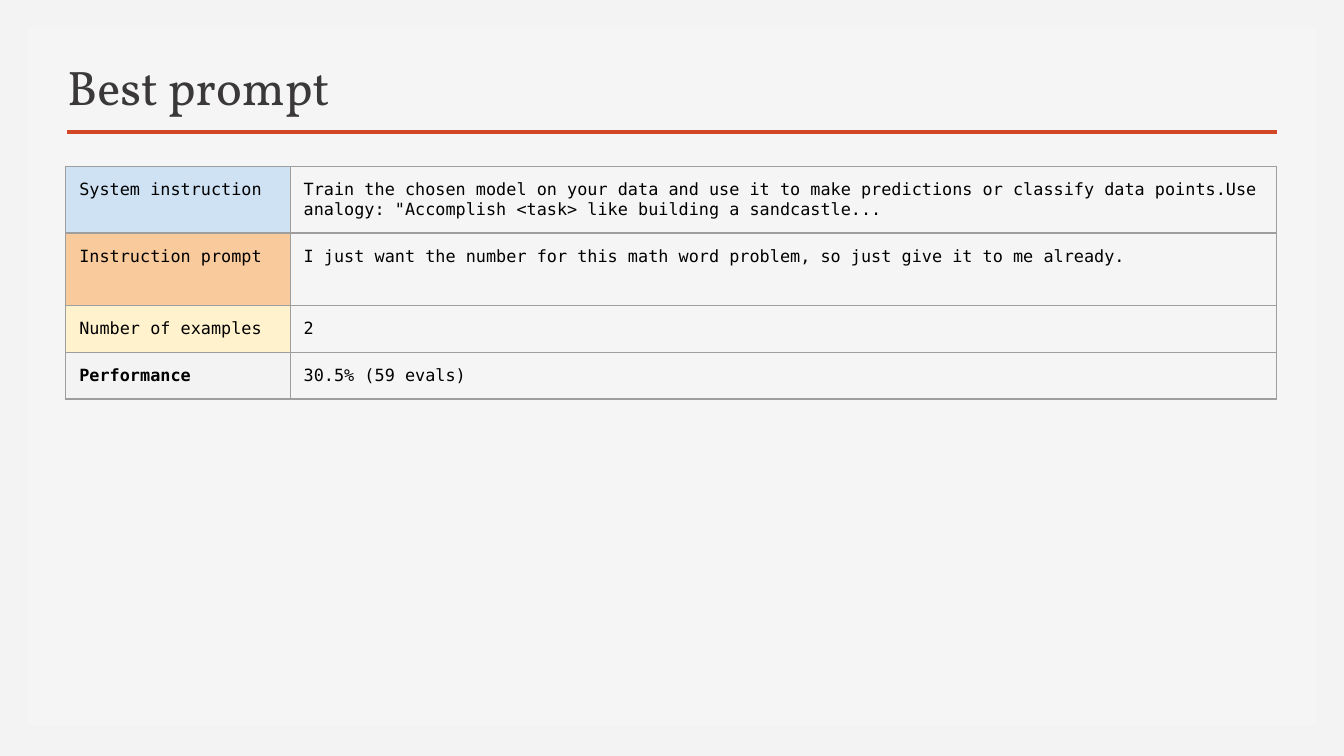
from pptx import Presentation
from pptx.dml.color import RGBColor
from pptx.enum.shapes import MSO_CONNECTOR, MSO_SHAPE
from pptx.enum.text import MSO_ANCHOR
from pptx.oxml import parse_xml
from pptx.oxml.ns import nsdecls
from pptx.util import Inches, Pt

BACKDROP = RGBColor(0xF3, 0xF3, 0xF3)
PANEL = RGBColor(0xF5, 0xF5, 0xF5)
ACCENT = RGBColor(0xD2, 0x47, 0x26)
TITLE_INK = RGBColor(0x3A, 0x38, 0x38)
INK = RGBColor(0x00, 0x00, 0x00)
GRID = RGBColor(0x9E, 0x9E, 0x9E)
BLUE = RGBColor(0xCF, 0xE2, 0xF3)
ORANGE = RGBColor(0xF9, 0xCB, 0x9C)
YELLOW = RGBColor(0xFF, 0xF2, 0xCC)

# label, value, label fill, least row height in inches (rows grow with their text)
PROMPT_PARTS = [
    ("System instruction",
     "Train the chosen model on your data and use it to make predictions or classify "
     'data points.Use analogy: "Accomplish <task> like building a sandcastle...',
     BLUE, 0.41),
    ("Instruction prompt",
     "I just want the number for this math word problem, so just give it to me already.",
     ORANGE, 0.54),
    ("Number of examples", "2", YELLOW, 0.29),
    ("Performance", "30.5% (59 evals)", BACKDROP, 0.29),
]
COLUMNS = [1.67, 7.34]


def write(frame, text, *, font="DejaVu Sans Mono", size=9, color=INK, bold=False):
    frame.word_wrap = True
    run = frame.paragraphs[0].add_run()
    run.text = text
    run.font.name = font
    run.font.size = Pt(size)
    run.font.color.rgb = color
    run.font.bold = bold


def outline_cell(cell):
    properties = cell._tc.get_or_add_tcPr()
    for position, side in enumerate(("lnL", "lnR", "lnT", "lnB")):
        properties.insert(position, parse_xml(
            f'<a:{side} {nsdecls("a")} w="{Pt(0.75)}"><a:solidFill>'
            f'<a:srgbClr val="{GRID}"/></a:solidFill></a:{side}>'))


prs = Presentation()
prs.slide_width = Inches(10)
prs.slide_height = prs.slide_width * 9 // 16
slide = prs.slides.add_slide(prs.slide_layouts[6])
slide.background.fill.solid()
slide.background.fill.fore_color.rgb = BACKDROP

panel = slide.shapes.add_shape(
    MSO_SHAPE.RECTANGLE, Inches(0.21), Inches(0.21), Inches(9.58), Inches(5.19))
panel.shadow.inherit = False
panel.fill.solid()
panel.fill.fore_color.rgb = PANEL
panel.line.fill.background()

title_rule = slide.shapes.add_connector(
    MSO_CONNECTOR.STRAIGHT, Inches(0.5), Inches(0.98), Inches(9.5), Inches(0.98))
title_rule.line.color.rgb = ACCENT
title_rule.line.width = Pt(2)
title_rule._element.spPr.append(parse_xml(f'<a:effectLst {nsdecls("a")}/>'))

prompt_table = slide.shapes.add_table(
    len(PROMPT_PARTS), len(COLUMNS), Inches(0.49), Inches(1.24),
    Inches(sum(COLUMNS)), Inches(sum(part[-1] for part in PROMPT_PARTS))).table
prompt_table.first_row = prompt_table.horz_banding = False
for column, width in zip(prompt_table.columns, COLUMNS):
    column.width = Inches(width)

for row, (label, value, label_fill, height) in zip(prompt_table.rows, PROMPT_PARTS):
    row.height = Inches(height)
    for cell, text in zip(row.cells, (label, value)):
        cell.margin_left = cell.margin_right = Inches(0.1)
        cell.margin_top = cell.margin_bottom = Inches(0.1)
        write(cell.text_frame, text, bold=text == "Performance")
        if text == label:
            cell.fill.solid()
            cell.fill.fore_color.rgb = label_fill
        else:
            cell.fill.background()
        outline_cell(cell)

title = slide.shapes.add_textbox(
    Inches(0.43), Inches(0.38), Inches(5.64), Inches(0.52)).text_frame
title.vertical_anchor = MSO_ANCHOR.BOTTOM
title.margin_left = title.margin_right = Inches(0.07)
title.margin_top = title.margin_bottom = Inches(0.04)
write(title, "Best prompt", font="Vollkorn", size=26, color=TITLE_INK)

prs.save("out.pptx")
